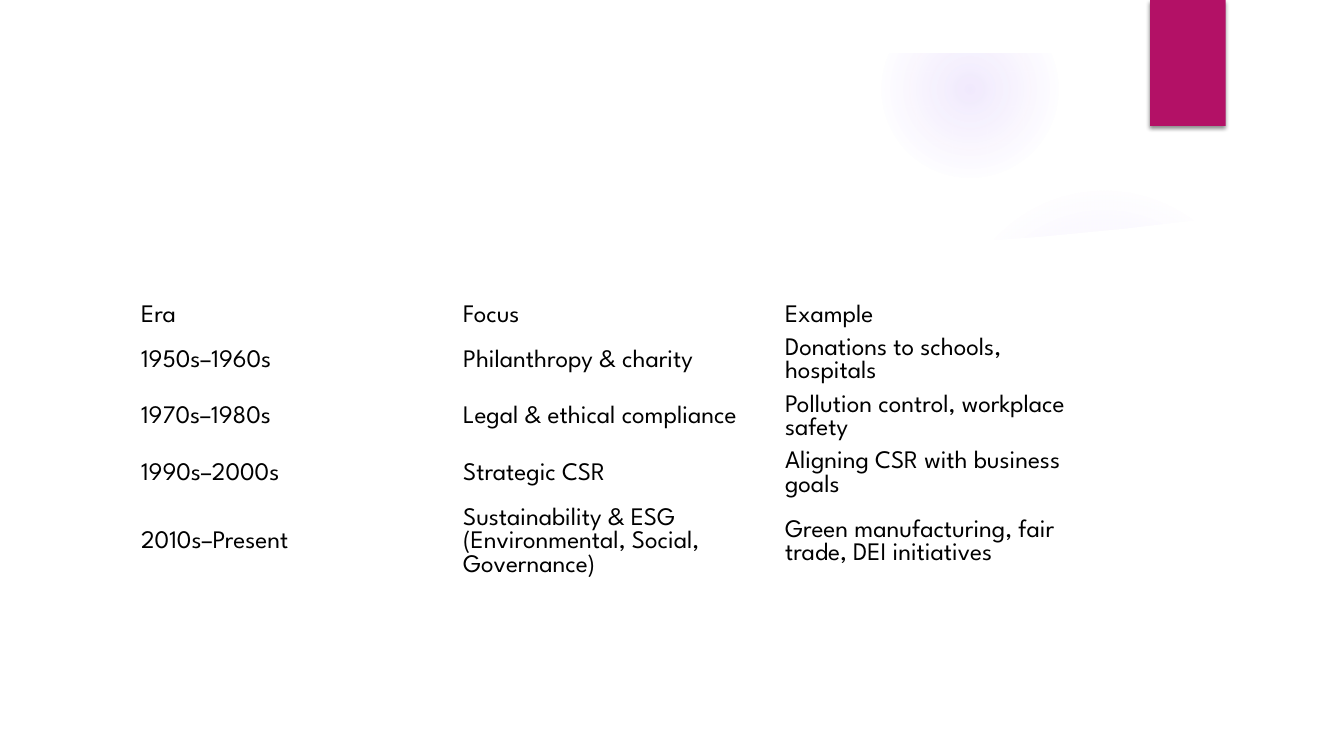
"""Build a slide with a table on the eras of corporate social responsibility."""
from lxml import etree
from pptx import Presentation
from pptx.dml.color import RGBColor
from pptx.enum.shapes import MSO_SHAPE as Preset
from pptx.enum.text import MSO_ANCHOR as Anchor
from pptx.oxml import parse_xml
from pptx.oxml.ns import nsdecls, qn
from pptx.util import Pt

FONT = "League Spartan"
WHITE, BLACK, MAGENTA, VIOLET = "FFFFFF", "000000", "B31166", "9B6BF2"

ERAS = [
    ("Era", "Focus", "Example"),
    ("1950s–1960s", "Philanthropy & charity", "Donations to schools, hospitals"),
    ("1970s–1980s", "Legal & ethical compliance", "Pollution control, workplace safety"),
    ("1990s–2000s", "Strategic CSR", "Aligning CSR with business goals"),
    ("2010s–Present", "Sustainability & ESG (Environmental, Social, Governance)",
     "Green manufacturing, fair trade, DEI initiatives"),
]
ROW_HEIGHTS = [24, 40.5, 40.5, 40.5, 57]
COLUMN_WIDTH = 230

PANEL_OUTLINE = [
    (36, 147), (36, 504), (924.5, 504), (924.5, 147), (864, 156.2), (803.5, 163.4),
    (743, 169.2), (683.3, 173.5), (604.8, 177.1), (509.8, 178.6), (385.2, 176.4),
    (259.2, 169.9), (155.5, 161.3),
]


def rgb(colour):
    """Turn a hex string into a colour."""
    return RGBColor.from_string(colour)


def paint(shape, colour):
    """Give a shape a flat fill without line or shadow."""
    shape.shadow.inherit = False
    shape.fill.solid()
    shape.fill.fore_color.rgb = rgb(colour)
    shape.line.fill.background()
    return shape


def add_block(slide, preset, left, top, width, height, colour):
    """Add a flat preset shape."""
    block = slide.shapes.add_shape(preset, Pt(left), Pt(top), Pt(width), Pt(height))
    return paint(block, colour)


def add_glow(slide, left, top, size, stops):
    """Add a circle that fades outwards through (position, opacity) percentages."""
    glow = add_block(slide, Preset.OVAL, left, top, size, size, VIOLET)
    stop_list = "".join(
        f'<a:gs pos="{position * 1000}"><a:srgbClr val="{VIOLET}">'
        f'<a:alpha val="{opacity * 1000}"/></a:srgbClr></a:gs>'
        for position, opacity in stops)
    gradient = parse_xml(
        f'<a:gradFill {nsdecls("a")} rotWithShape="1"><a:gsLst>{stop_list}</a:gsLst>'
        '<a:path path="circle"><a:fillToRect l="50000" t="50000" r="50000" b="50000"/>'
        '</a:path></a:gradFill>')
    properties = glow.element.spPr
    properties.replace(properties.find(qn("a:solidFill")), gradient)


def add_panel(slide, outline):
    """Add the white content panel with its curved top edge."""
    points = [(Pt(x), Pt(y)) for x, y in outline]
    builder = slide.shapes.build_freeform(*points[0])
    builder.add_line_segments(points[1:], close=True)
    paint(builder.convert_to_shape(), WHITE)


def cast_shadow(shape, blur, distance, opacity):
    """Let a shape cast a black shadow downwards."""
    effects = shape.element.spPr.find(qn("a:effectLst"))
    shadow = etree.SubElement(
        effects, qn("a:outerShdw"), blurRad=str(Pt(blur)), dist=str(Pt(distance)),
        dir="5400000", algn="ctr", rotWithShape="0")
    tint = etree.SubElement(shadow, qn("a:srgbClr"), val=BLACK)
    etree.SubElement(tint, qn("a:alpha"), val=str(opacity * 1000))


def write(frame, text, size=18, colour=BLACK, font=FONT):
    """Write one formatted run into a text frame."""
    run = frame.paragraphs[0].add_run()
    run.text = text
    run.font.size = Pt(size)
    run.font.name = font
    run.font.color.rgb = rgb(colour)


def add_era_table(slide, left, top):
    """Add the plain table of eras."""
    columns = len(ERAS[0])
    table = slide.shapes.add_table(
        len(ERAS), columns, Pt(left), Pt(top),
        Pt(columns * COLUMN_WIDTH), Pt(sum(ROW_HEIGHTS))).table
    table.first_row = table.horz_banding = False
    for column in table.columns:
        column.width = Pt(COLUMN_WIDTH)
    for row, height, era in zip(table.rows, ROW_HEIGHTS, ERAS):
        row.height = Pt(height)
        for cell, text in zip(row.cells, era):
            cell.fill.background()
            cell.vertical_anchor = Anchor.MIDDLE
            write(cell.text_frame, text)


def main():
    """Build and save the slide."""
    deck = Presentation()
    deck.slide_width, deck.slide_height = Pt(960), Pt(540)
    slide = deck.slides.add_slide(deck.slide_layouts[6])

    add_glow(slide, 677.5, 131.8, 222, [(0, 7), (36, 6), (69, 0)])
    add_glow(slide, 630, 0.7, 126, [(0, 14), (36, 7), (73, 0)])
    add_panel(slide, PANEL_OUTLINE)
    border = add_block(slide, Preset.FRAME, 0, 0, 960, 540, WHITE)
    border.adjustments[0] = 0.07
    banner = add_block(slide, Preset.RECTANGLE, 821.5, 0, 54, 90, MAGENTA)
    cast_shadow(banner, blur=3, distance=2, opacity=45)
    add_era_table(slide, 93.6, 213.8)

    deck.save("out.pptx")


if __name__ == "__main__":
    main()
